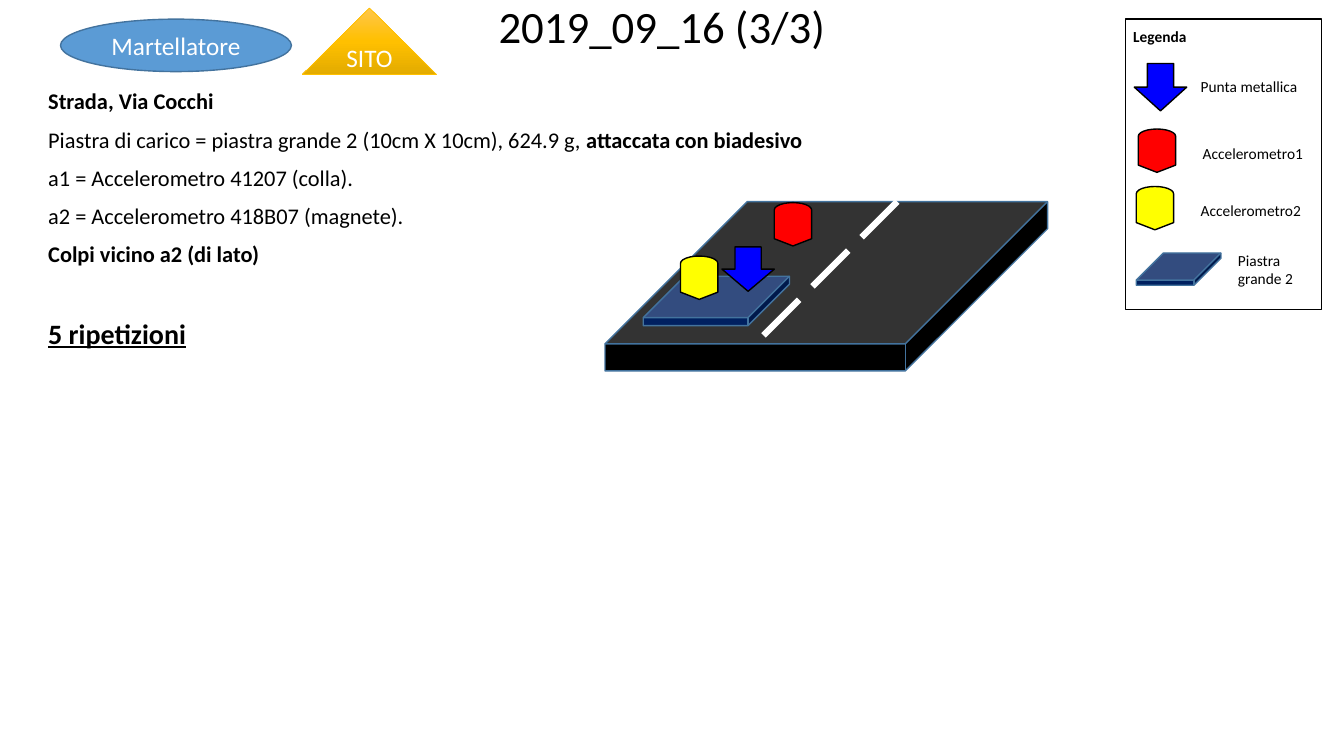
from copy import deepcopy

from pptx import Presentation
from pptx.dml.color import RGBColor
from pptx.enum.dml import MSO_LINE
from pptx.enum.shapes import MSO_CONNECTOR, MSO_SHAPE
from pptx.enum.text import MSO_ANCHOR, PP_ALIGN
from pptx.oxml.ns import qn
from pptx.util import Inches, Pt

BLACK = RGBColor(0x00, 0x00, 0x00)
WHITE = RGBColor(0xFF, 0xFF, 0xFF)
RED = RGBColor(0xFF, 0x00, 0x00)
YELLOW = RGBColor(0xFF, 0xFF, 0x00)
BLUE = RGBColor(0x00, 0x00, 0xFF)
NAVY = RGBColor(0x00, 0x20, 0x60)
SKY = RGBColor(0x5B, 0x9B, 0xD5)
STEEL = RGBColor(0x43, 0x73, 0x9E)
GOLD = RGBColor(0xFF, 0xC0, 0x00)
LIGHT_GOLD = RGBColor(0xFF, 0xC6, 0x4B)
DARK_GOLD = RGBColor(0xE3, 0xAB, 0x00)


def add_figure(kind, left, top, width, height, fill, outline, weight=1):
    figure = page.shapes.add_shape(
        kind, Inches(left), Inches(top), Inches(width), Inches(height))
    figure.shadow.inherit = False
    if fill is None:
        figure.fill.background()
    else:
        figure.fill.solid()
        figure.fill.fore_color.rgb = fill
    figure.line.color.rgb = outline
    figure.line.width = Pt(weight)
    return figure


def style(para, size, color=BLACK, bold=False):
    para.font.name = "Calibri"
    para.font.size = Pt(size)
    para.font.color.rgb = color
    para.font.bold = bold


deck = Presentation()
deck.slide_width = Inches(13.33)
deck.slide_height = Inches(7.5)
page = deck.slides.add_slide(deck.slide_layouts[5])

title = page.shapes.title
title.left, title.top = Inches(0), Inches(0)
title.width, title.height = Inches(13.13), Inches(0.85)
title.text_frame.text = "2019_09_16 (3/3)"
title.text_frame.vertical_anchor = MSO_ANCHOR.TOP
heading = title.text_frame.paragraphs[0]
heading.alignment = PP_ALIGN.CENTER
heading.line_spacing = 0.9
style(heading, 32)

notes = [
    ([("Strada, Via Cocchi", True)], 16, 0),
    ([("Piastra di carico = piastra grande 2 (10cm X 10cm), 624.9 g, ", False),
      ("attaccata con biadesivo", True)], 16, 10),
    ([("a1 = Accelerometro 41207 (colla).", False)], 16, 10),
    ([("a2 = Accelerometro 418B07 (magnete).", False)], 16, 10),
    ([("Colpi vicino a2 (di lato)", True)], 16, 10),
    ([("5 ripetizioni", True)], 20, 37.6),
]
body = page.shapes.add_textbox(Inches(0.38), Inches(0.85), Inches(12.59), Inches(6.52))
body.text_frame.word_wrap = True
for index, (spans, size, gap) in enumerate(notes):
    para = body.text_frame.paragraphs[0] if index == 0 else body.text_frame.add_paragraph()
    para.line_spacing = 0.9
    para.space_before = Pt(gap)
    style(para, size)
    for text, bold in spans:
        span = para.add_run()
        span.text = text
        span.font.bold = bold
para.font.underline = True

add_figure(MSO_SHAPE.RECTANGLE, 11.16, 0.19, 1.95, 2.88, None, BLACK)
legend_labels = [
    ("Legenda", 11.14, 0.22, 1.3, 0.29, True),
    ("Punta metallica", 11.81, 0.72, 1.3, 0.29, False),
    ("Accelerometro1", 11.83, 1.38, 1.3, 0.29, False),
    ("Accelerometro2", 11.81, 1.95, 1.3, 0.29, False),
    ("Piastra grande 2", 12.18, 2.44, 0.83, 0.47, False),
]
for text, left, top, width, height, bold in legend_labels:
    box = page.shapes.add_textbox(Inches(left), Inches(top), Inches(width), Inches(height))
    box.text_frame.word_wrap = True
    box.text_frame.text = text
    style(box.text_frame.paragraphs[0], 11, bold=bold)

hammer = add_figure(MSO_SHAPE.OVAL, 0.6, 0.19, 2.29, 0.52, SKY, STEEL)
site = add_figure(MSO_SHAPE.ISOSCELES_TRIANGLE, 3, 0.08, 1.33, 0.66, GOLD, GOLD, 0.5)
site.fill.gradient()
site.fill.gradient_angle = 270
first_stop = site.element.spPr.find(".//" + qn("a:gs"))
first_stop.addnext(deepcopy(first_stop))
gold_stops = [(0, LIGHT_GOLD), (0.5, GOLD), (1, DARK_GOLD)]
for stop, (position, color) in zip(site.fill.gradient_stops, gold_stops):
    stop.position = position
    stop.color.rgb = color
for badge, text in [(hammer, "Martellatore"), (site, "SITO")]:
    badge.text_frame.word_wrap = False
    badge.text_frame.text = text
    badge.text_frame.vertical_anchor = MSO_ANCHOR.MIDDLE
    label = badge.text_frame.paragraphs[0]
    label.alignment = PP_ALIGN.CENTER
    style(label, 18, WHITE)

slabs = [
    (6, 2, 4.39, 1.68, BLACK),
    (6.38, 2.74, 1.45, 0.49, NAVY),
    (11.27, 2.51, 0.84, 0.32, NAVY),
]
for left, top, width, height, fill in slabs:
    slab = add_figure(MSO_SHAPE.CUBE, left, top, width, height, fill, STEEL)
    slab.adjustments[0] = 0.84

lane = page.shapes.add_connector(
    MSO_CONNECTOR.STRAIGHT, Inches(8.9), Inches(2), Inches(7.49), Inches(3.41))
lane.line.color.rgb = WHITE
lane.line.width = Pt(4.5)
lane.line.dash_style = MSO_LINE.LONG_DASH
lane_properties = lane.element.spPr
lane_properties.append(lane_properties.makeelement(qn("a:effectLst"), {}))

sensors = [
    (11.26, 1.31, RED),
    (11.24, 1.88, YELLOW),
    (7.65, 2.04, RED),
    (6.72, 2.57, YELLOW),
]
for left, top, fill in sensors:
    sensor = add_figure(MSO_SHAPE.FLOWCHART_DISPLAY, left, top, 0.43, 0.37, fill, BLACK)
    sensor.rotation = 270

for left, top, height in [(11.25, 0.63, 0.47), (7.16, 2.45, 0.44)]:
    add_figure(MSO_SHAPE.DOWN_ARROW, left, top, 0.52, height, BLUE, BLACK)

deck.save("out.pptx")
